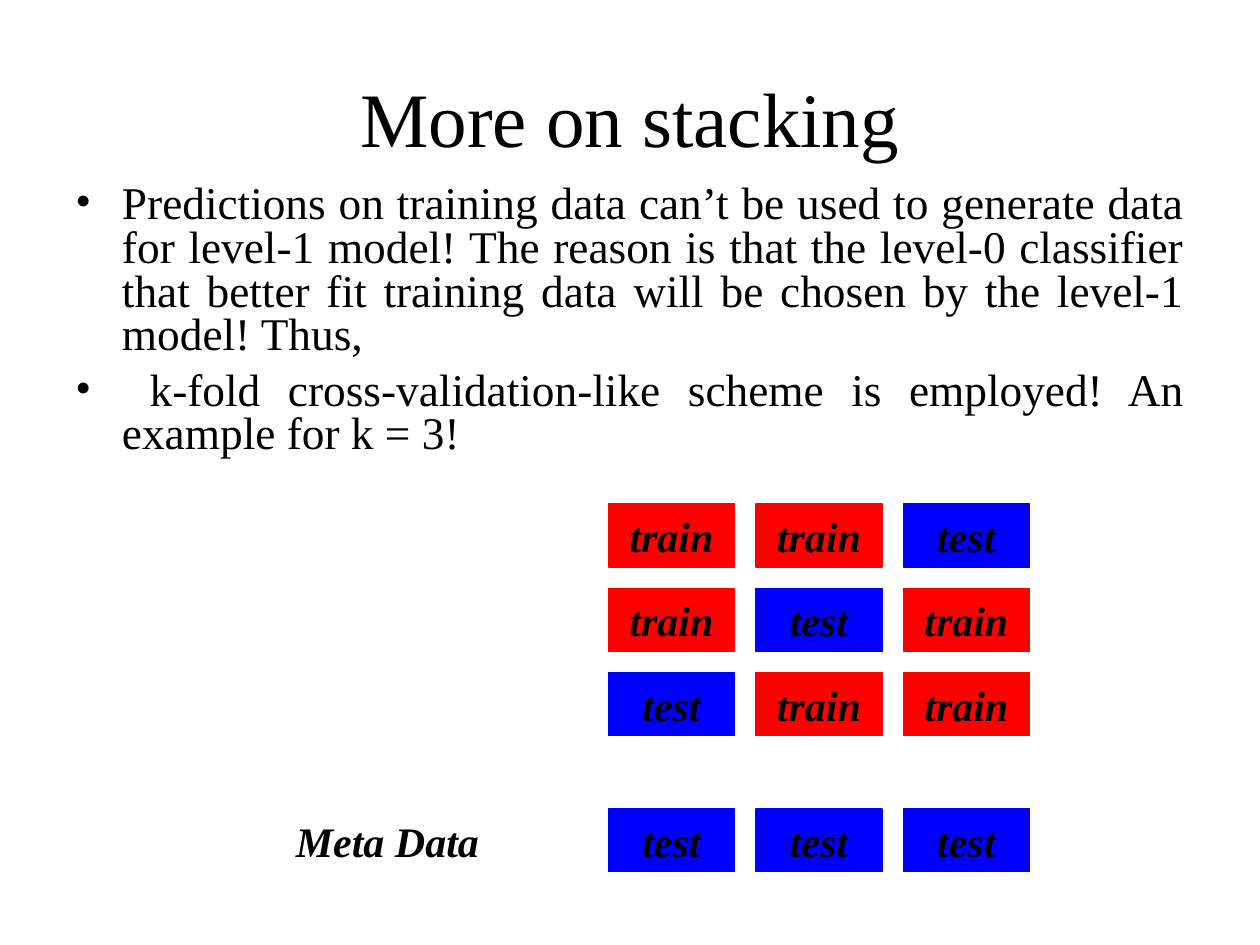
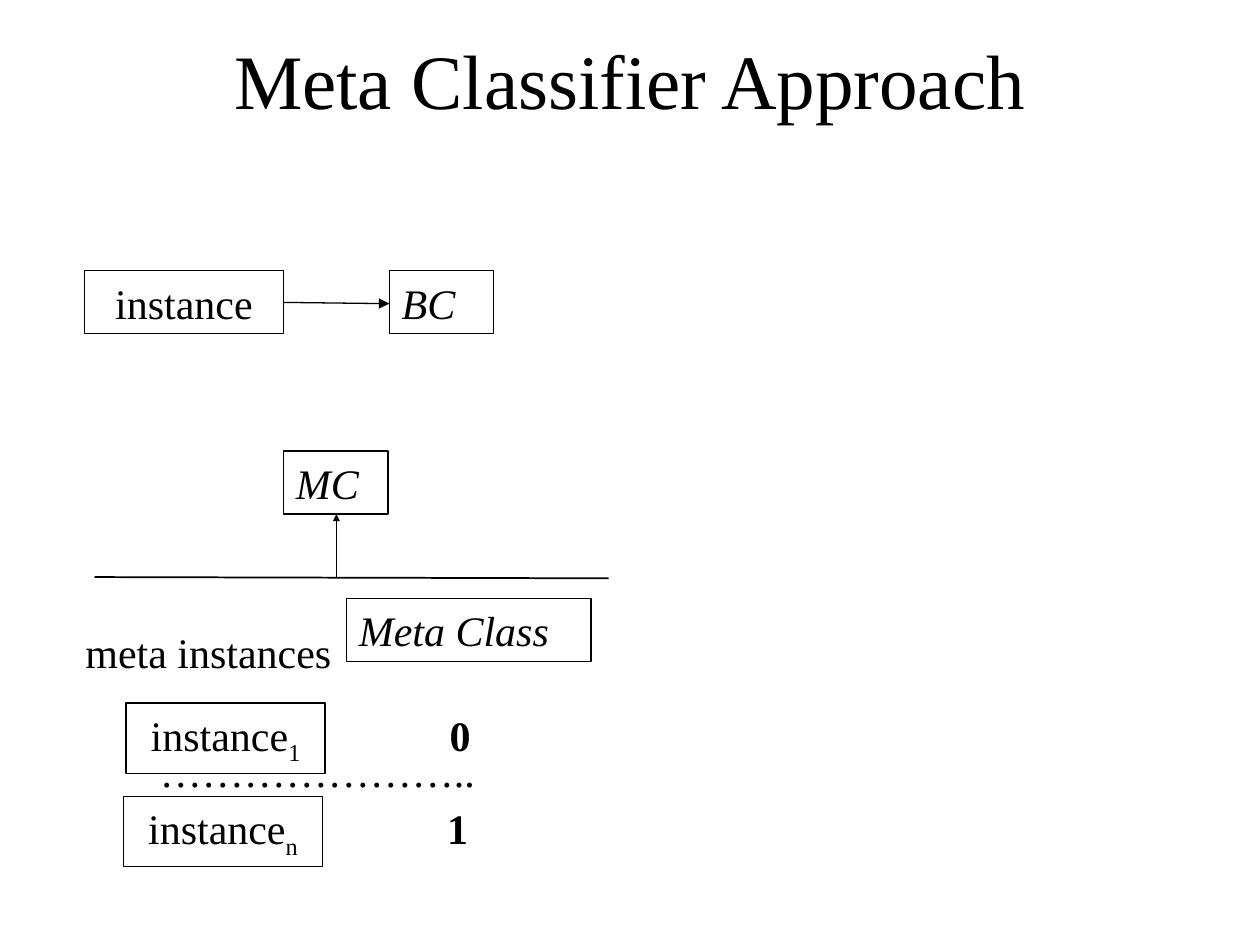
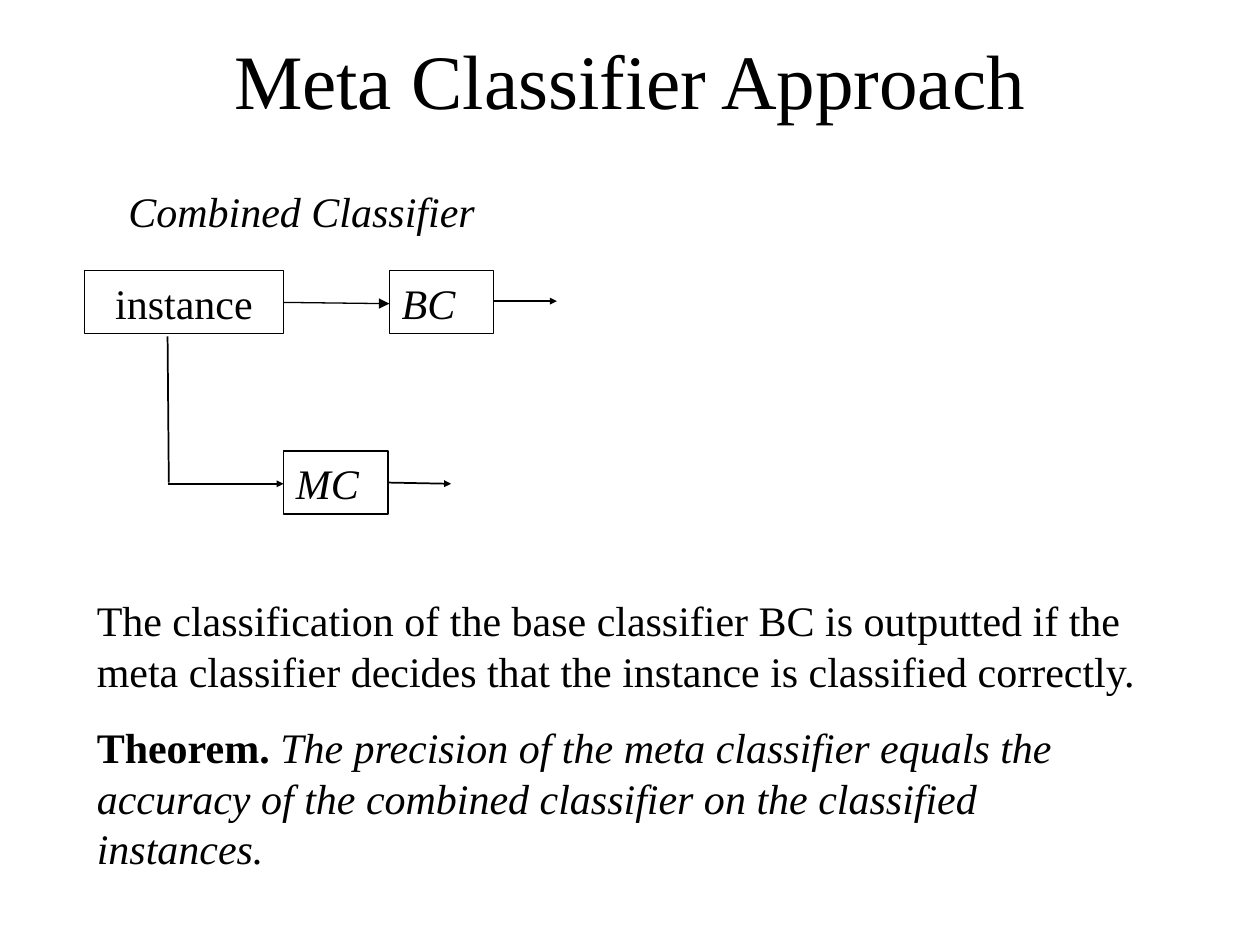
from pptx import Presentation
from pptx.dml.color import RGBColor
from pptx.enum.shapes import MSO_CONNECTOR, MSO_SHAPE
from pptx.enum.text import MSO_ANCHOR, PP_ALIGN as ALIGN
from pptx.oxml.ns import qn
from pptx.util import Inches, Pt
from lxml.etree import SubElement

COLORS = {"ink": "000000", "paper": "FFFFFF", "train": "FF0000", "test": "0000FF"}
FONT = "Times New Roman"
TITLE_SIZE, BULLET_SIZE, TEXT_SIZE = 44, 25.9, 24
HANGING = Inches(0.37)
BOX_H = 0.5


def rgb(name):
    return RGBColor.from_string(COLORS[name])


def add_slide(prs, title, title_top=0):
    s = prs.slides.add_slide(prs.slide_layouts[6])
    s.background.fill.solid()
    s.background.fill.fore_color.rgb = rgb("paper")
    tf = add_text(s, 0.5, title_top, 9, 1.25, title, size=TITLE_SIZE, align=ALIGN.CENTER)
    tf.vertical_anchor = MSO_ANCHOR.MIDDLE
    return s


def add_run(p, text, size=TEXT_SIZE, bold=False, italic=False, subscript=False):
    r = p.add_run()
    r.text = text
    font = r.font
    font.name, font.size = FONT, Pt(size)
    font.bold, font.italic = bold, italic
    font.color.rgb = rgb("ink")
    if subscript:
        r._r.get_or_add_rPr().set("baseline", "-25000")


def add_text(s, x, y, w, h, text, align=ALIGN.LEFT, wrap=True, **style):
    """Add a text box; an empty text leaves its first paragraph free for runs."""
    sp = s.shapes.add_textbox(Inches(x), Inches(y), Inches(w), Inches(h))
    tf = sp.text_frame
    tf.word_wrap = wrap
    p = tf.paragraphs[0]
    p.alignment = align
    if text:
        add_run(p, text, **style)
    return tf


def add_box(s, x, y, w, text, h=BOX_H, fill=None, align=ALIGN.CENTER, sub="", **style):
    """Add an outlined box, or a plain colour block if fill is given."""
    sp = s.shapes.add_shape(MSO_SHAPE.RECTANGLE, Inches(x), Inches(y), Inches(w), Inches(h))
    sp.shadow.inherit = False
    if fill:
        sp.fill.solid()
        sp.fill.fore_color.rgb = rgb(fill)
    else:
        sp.fill.background()
    sp.line.color.rgb = rgb(fill or "ink")
    sp.line.width = Pt(0.75)
    tf = sp.text_frame
    tf.word_wrap = True
    tf.vertical_anchor = MSO_ANCHOR.TOP
    p = tf.paragraphs[0]
    p.alignment = align
    add_run(p, text, **style)
    if sub:
        add_run(p, sub, subscript=True)


def add_line(s, x1, y1, x2, y2, width=1, head=None):
    """Draw a line; head is the arrowhead size, "sm" or "med"."""
    c = s.shapes.add_connector(MSO_CONNECTOR.STRAIGHT, Inches(x1), Inches(y1),
                               Inches(x2), Inches(y2))
    c.line.color.rgb = rgb("ink")
    c.line.width = Pt(width)
    if head:
        SubElement(c.line._get_or_add_ln(), qn("a:tailEnd"), type="triangle", w=head, len=head)
    SubElement(c._element.spPr, qn("a:effectLst"))


def add_bullets(s, x, y, w, h, items):
    tf = add_text(s, x, y, w, h, "")
    for i, item in enumerate(items):
        p = tf.add_paragraph() if i else tf.paragraphs[0]
        p.alignment = ALIGN.JUSTIFY
        p.line_spacing = 0.8
        if i:
            p.space_before = Pt(7)
        pPr = p._p.get_or_add_pPr()
        pPr.set("marL", str(HANGING))
        pPr.set("indent", str(-HANGING))
        SubElement(pPr, qn("a:buFont"), typeface=FONT)
        SubElement(pPr, qn("a:buChar"), char="•")
        add_run(p, item, size=BULLET_SIZE)


def add_fold_row(s, y, roles):
    for col, role in enumerate(roles):
        add_box(s, 4.83 + 1.17 * col, y, 1, role, fill=role, bold=True, italic=True)


def add_classifiers(s):
    """Draw what both classifier slides share: instance to BC, and MC below."""
    add_box(s, 0.67, 2.15, 1.58, "instance")
    for name, x, y in (("BC", 3.09, 2.15), ("MC", 2.25, 3.58)):
        add_box(s, x, y, 0.83, name, align=ALIGN.LEFT, italic=True)
    add_line(s, 2.25, 2.4, 3.09, 2.41, width=0.75, head="med")


def stacking_slide(prs):
    s = add_slide(prs, "More on stacking", title_top=0.3)
    add_bullets(s, 0.5, 1.42, 9, 2.42, [
        "Predictions on training data can’t be used to generate data for level-1 model! "
        "The reason is that the level-0 classifier that better fit training data will be "
        "chosen by the level-1 model! Thus,",
        " k-fold cross-validation-like scheme is employed! An example for k = 3!",
    ])
    folds = 3
    for row in range(folds):
        test_col = folds - 1 - row
        roles = ["test" if col == test_col else "train" for col in range(folds)]
        add_fold_row(s, 4 + 0.67 * row, roles)
    add_fold_row(s, 6.42, ["test"] * folds)
    add_text(s, 2.25, 6.42, 2.25, BOX_H, "Meta Data", bold=True, italic=True)


def meta_training_slide(prs):
    s = add_slide(prs, "Meta Classifier Approach")
    add_classifiers(s)
    add_line(s, 0.75, 4.58, 4.83, 4.59)
    add_line(s, 2.67, 4.59, 2.67, 4.08, head="sm")
    add_text(s, 0.58, 4.92, 3, BOX_H, "meta instances")
    add_box(s, 2.75, 4.75, 1.94, "Meta Class", align=ALIGN.LEFT, italic=True)
    for x, y, index, label in ((1, 5.58, "1", "0"), (0.98, 6.32, "n", "1")):
        add_box(s, x, y, 1.58, "instance", h=0.56, sub=index)
        add_text(s, x + 2.47, y, 0.36, BOX_H, label, wrap=False, bold=True)
    add_text(s, 1.17, 5.87, 7.92, BOX_H, "…………………..")


def combined_classifier_slide(prs):
    s = add_slide(prs, "Meta Classifier Approach")
    add_classifiers(s)
    add_text(s, 0.92, 1.42, 3.92, BOX_H, "Combined Classifier", italic=True)
    add_line(s, 1.33, 2.67, 1.34, 3.83)
    add_line(s, 1.33, 3.84, 2.25, 3.84, head="sm")
    add_line(s, 3.92, 2.39, 4.42, 2.39, head="sm")
    add_line(s, 3.08, 3.83, 3.58, 3.84, head="sm")
    tf = add_text(s, 0.67, 4.67, 8.5, 2.31,
                  "The classification of the base classifier BC is outputted if the meta "
                  "classifier decides that the instance is classified correctly.")
    p = tf.add_paragraph()
    p.space_before = Pt(15)
    add_run(p, "Theorem. ", bold=True)
    add_run(p, "The precision of the meta classifier equals the accuracy of the combined "
               "classifier on the classified instances.", italic=True)


def main():
    prs = Presentation()
    prs.slide_width, prs.slide_height = Inches(10), Inches(7.5)
    stacking_slide(prs)
    meta_training_slide(prs)
    combined_classifier_slide(prs)
    prs.save("out.pptx")


if __name__ == "__main__":
    main()
